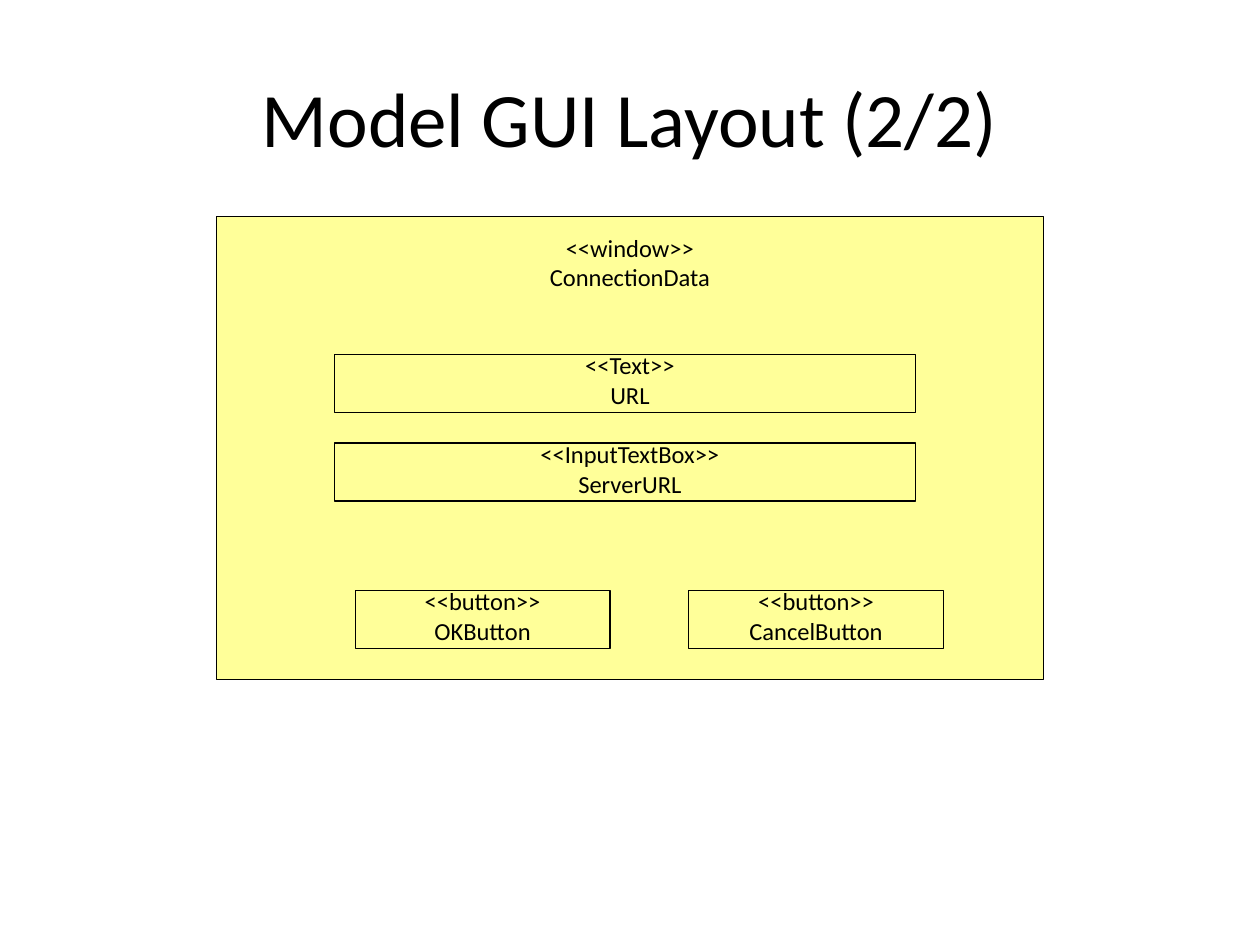
import pptx
import pptx.util
import pptx.dml.color
import pptx.enum.shapes
import pptx.enum.text

Pt = pptx.util.Pt
BLACK = pptx.dml.color.RGBColor(0x00, 0x00, 0x00)
YELLOW = pptx.dml.color.RGBColor(0xFF, 0xFF, 0x99)
CENTER = pptx.enum.text.PP_ALIGN.CENTER


def format_text(tf, size):
    for p in tf.paragraphs:
        p.alignment = CENTER
        for r in p.runs:
            r.font.size = Pt(size)
            r.font.name = "Calibri"
            r.font.color.rgb = BLACK


prs = pptx.Presentation()
prs.slide_width = Pt(720)
prs.slide_height = Pt(540)
s = prs.slides.add_slide(prs.slide_layouts[5])

title = s.shapes.title
title.left, title.top, title.width, title.height = Pt(36), Pt(21.6), Pt(648), Pt(90)
title.text_frame.text = "Model GUI Layout (2/2)"
title.text_frame.vertical_anchor = pptx.enum.text.MSO_ANCHOR.MIDDLE
format_text(title.text_frame, 44)

WIDE_LABEL = (270, 180)
BUTTON_W, BUTTON_TOP, BUTTON_INSET = 145.6, 337.4, 10.8
widgets = [
    ("window", "ConnectionData", (123.8, 123.8, 472.4, 264.4), WIDE_LABEL, 5.8),
    ("InputTextBox", "ServerURL", (191.2, 253.2, 332, 33.2), WIDE_LABEL, -5.8),
    ("Text", "URL", (191.2, 202.4, 332, 33.2), WIDE_LABEL, -5.8),
]
for name, left in (("OKButton", 203), ("CancelButton", 393.6)):
    label = (left + BUTTON_INSET, BUTTON_W - 2 * BUTTON_INSET)
    widgets.append(("button", name, (left, BUTTON_TOP, BUTTON_W, 33.2), label, -5.8))

for kind, name, box, (label_left, label_width), offset in widgets:
    group = s.shapes.add_group_shape()
    sp = group.shapes.add_shape(
        pptx.enum.shapes.MSO_SHAPE.RECTANGLE, *[Pt(v) for v in box])
    sp.shadow.inherit = False
    sp.fill.solid()
    sp.fill.fore_color.rgb = YELLOW
    sp.line.color.rgb = BLACK
    sp.line.width = Pt(0.75)

    tb = group.shapes.add_textbox(
        Pt(label_left), Pt(box[1] + offset), Pt(label_width), Pt(41))
    tf = tb.text_frame
    tf.word_wrap = True
    tf.auto_size = pptx.enum.text.MSO_AUTO_SIZE.SHAPE_TO_FIT_TEXT
    tf.text = f"<<{kind}>>\n{name}"
    format_text(tf, 14)

prs.save("out.pptx")
